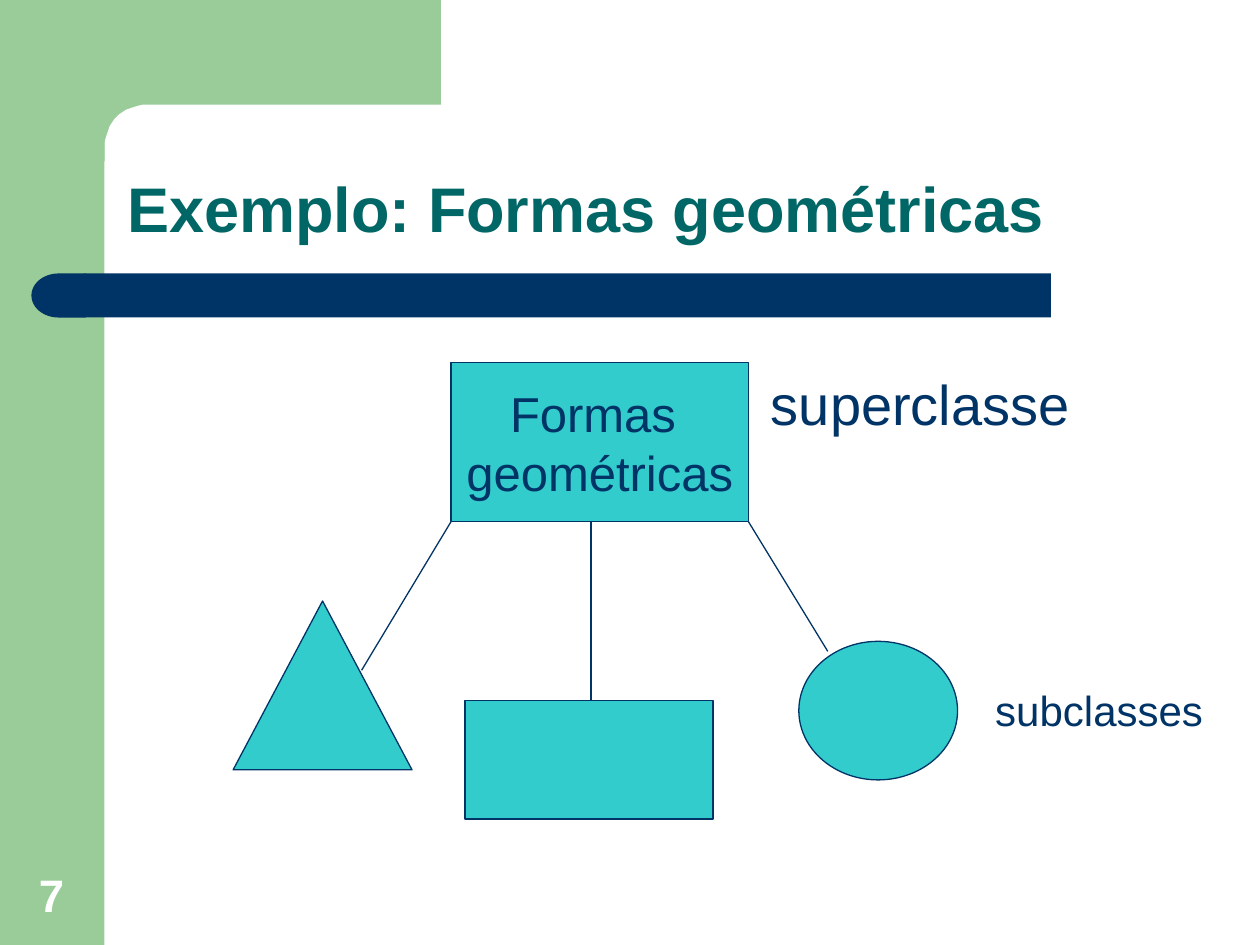
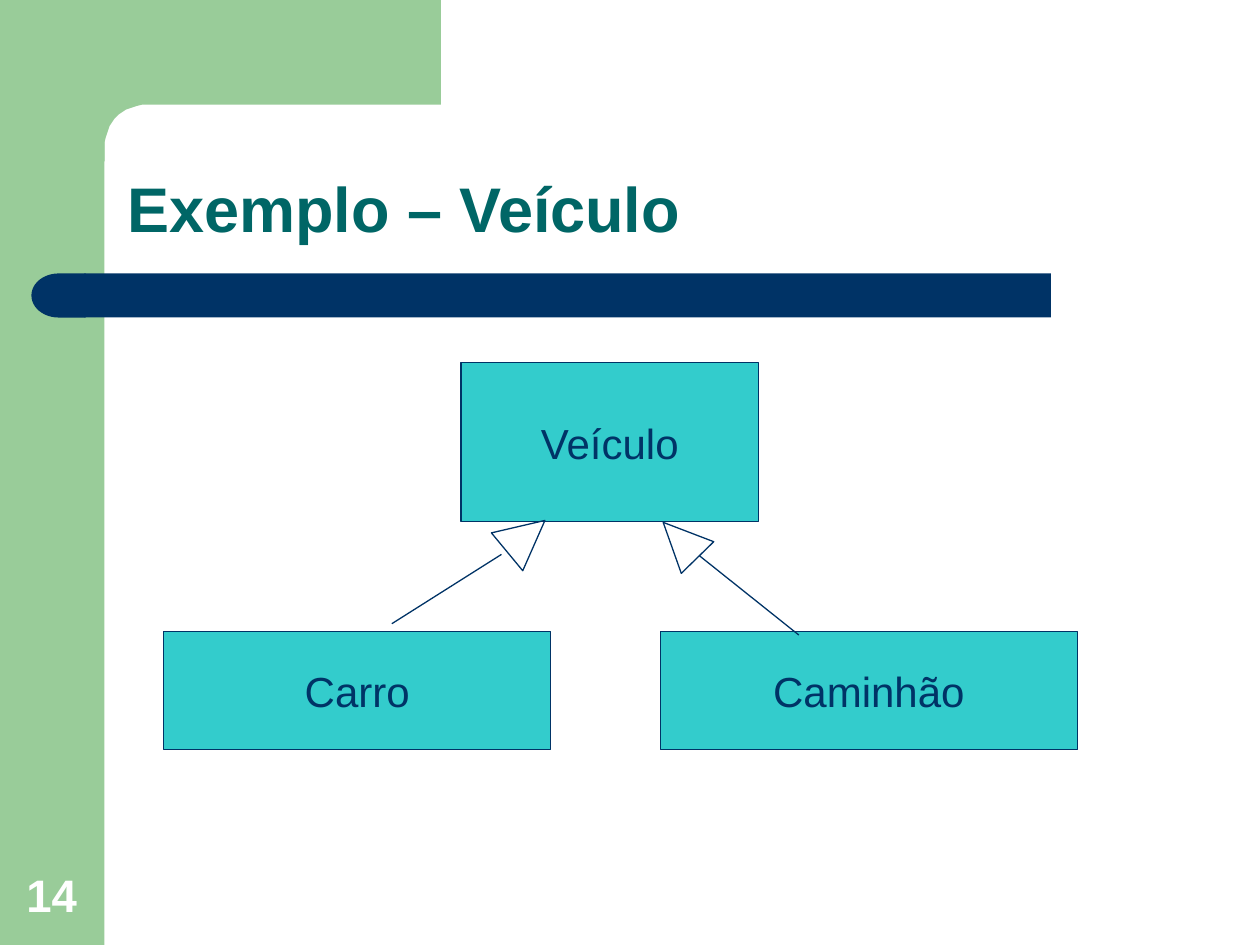
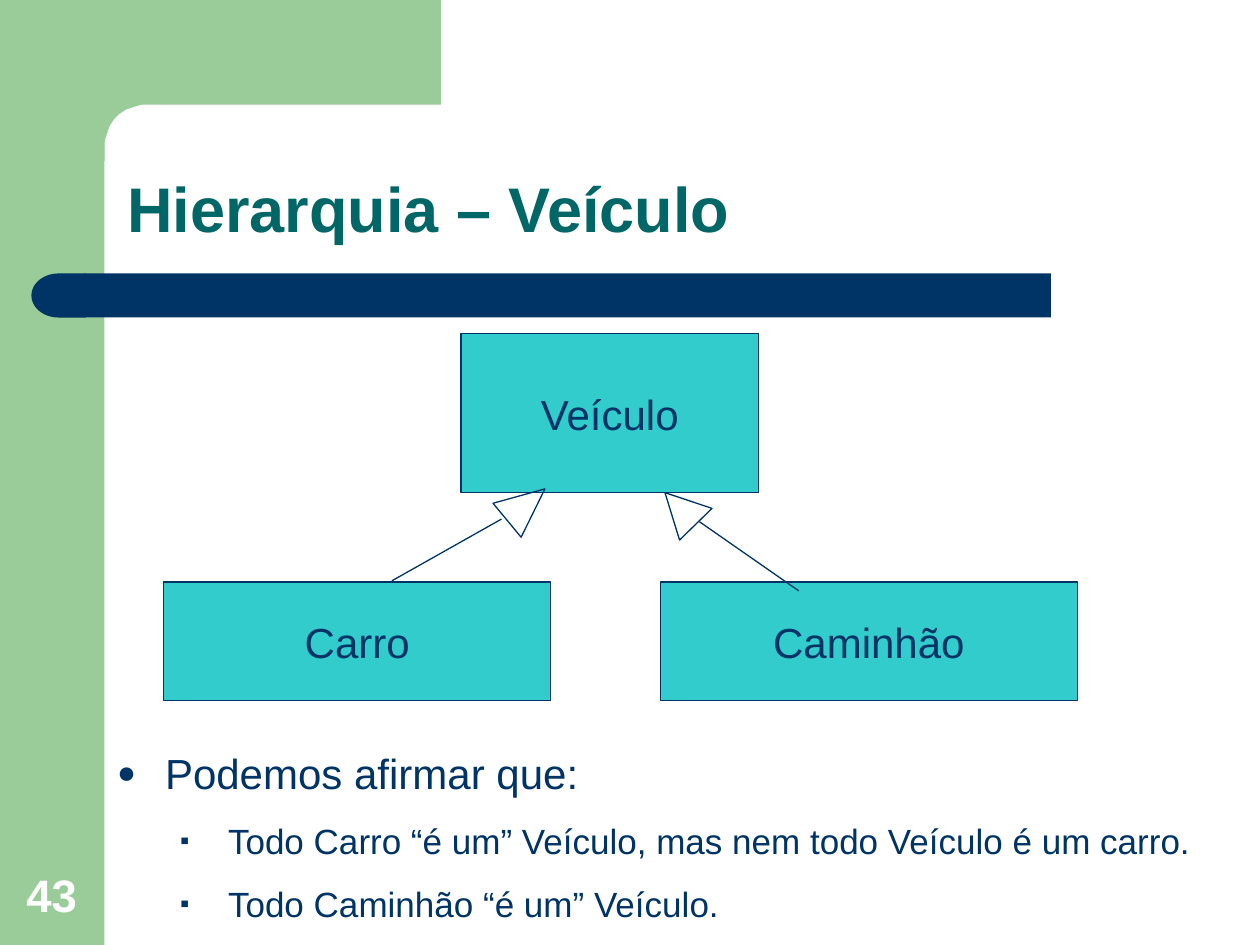
from math import cos, sin, radians

from lxml.etree import SubElement
from pptx import Presentation
from pptx.dml.color import RGBColor as RGB
from pptx.enum.shapes import MSO_CONNECTOR as LINK, MSO_SHAPE as KIND
from pptx.enum.text import MSO_ANCHOR as ANCHOR, MSO_AUTO_SIZE as FIT, PP_ALIGN as ALIGN
from pptx.oxml.ns import qn
from pptx.util import Inches, Pt

HUES = {"band": "99CC99", "navy": "003366", "title": "006666", "node": "33CCCC", "white": "FFFFFF"}
TITLE = {"size": 36, "hue": "title", "bold": True, "space": 0.9}
PAGE = {"size": 26, "hue": "white", "bold": True, "align": ALIGN.CENTER}


def paint(shape, fill=None, edge=None):
    shape.shadow.inherit = False
    if fill:
        shape.fill.solid()
        shape.fill.fore_color.rgb = RGB.from_string(HUES[fill])
    else:
        shape.fill.background()
    if edge:
        shape.line.color.rgb = RGB.from_string(HUES[edge])
        shape.line.width = Pt(0.75)
    else:
        shape.line.fill.background()


def write(frame, text, size, hue="navy", bold=False, align=ALIGN.LEFT, space=None,
          anchor=ANCHOR.TOP, wrap=True, fit=FIT.NONE):
    frame.text = text
    for name, value in {"vertical_anchor": anchor, "word_wrap": wrap, "auto_size": fit}.items():
        setattr(frame, name, value)
    for para in frame.paragraphs:
        para.alignment, para.line_spacing = align, space
        for name, value in {"name": "Arial", "size": Pt(size), "bold": bold}.items():
            setattr(para.font, name, value)
        para.font.color.rgb = RGB.from_string(HUES[hue])


# Slide contents: nodes (kind, box, text, size), links (ends), tips (box, turn), labels
PAGES = [
    {
        "page": "7", "title": "Exemplo: Formas geométricas",
        "nodes": [
            (KIND.RECTANGLE, (3.58, 2.88, 2.36, 1.26), "Formas \ngeométricas", 28),
            (KIND.ISOSCELES_TRIANGLE, (1.85, 4.77, 1.42, 1.34), "", 24),
            (KIND.RECTANGLE, (3.69, 5.56, 1.97, 0.94), "", 24),
            (KIND.OVAL, (6.34, 5.09, 1.26, 1.1), "", 24),
        ],
        "links": [(3.58, 4.14, 2.87, 5.32), (4.69, 4.14, 4.69, 5.56), (5.94, 4.14, 6.57, 5.17)],
        "labels": [((6.02, 2.88, 2.6, 0.64), "superclasse", 32),
                   ((7.8, 5.38, 1.85, 0.5), "subclasses", 24)],
    },
    {
        "page": "14", "title": "Exemplo – Veículo", "top": 2.88, "low": 5.01,
        "links": [(3.98, 4.4, 3.11, 4.95), (5.55, 4.41, 6.34, 5.04)],
        "tips": [((3.98, 4.06, 0.39, 0.39), 50.4), ((5.22, 4.09, 0.36, 0.39), 315.7)],
    },
    {
        "page": "43", "title": "Hierarquia – Veículo", "top": 2.65, "low": 4.62,
        "links": [(3.98, 4.12, 3.11, 4.61), (5.55, 4.14, 6.34, 4.69)],
        "tips": [((4, 3.81, 0.35, 0.39), 50.4), ((5.22, 3.86, 0.36, 0.35), 315.7)],
        "list": ["Podemos afirmar que:",
                 "Todo Carro “é um” Veículo, mas nem todo Veículo é um carro.",
                 "Todo Caminhão “é um” Veículo."],
    },
]

deck = Presentation()
deck.slide_width, deck.slide_height = Inches(10), Inches(7.5)

for data in PAGES:
    has_list = "list" in data
    slide = deck.slides.add_slide(deck.slide_layouts[1 if has_list else 5])
    shapes = slide.shapes

    # Bands, drawn once and moved to the master; corner points in hundredths of an inch
    if data is PAGES[0]:
        side = shapes.add_shape(KIND.RECTANGLE, 0, 0, Inches(0.83), Inches(7.5))
        arc = [(116 - 33 * sin(radians(a)), 116 - 33 * cos(radians(a))) for a in range(0, 91, 6)]
        pen = shapes.build_freeform(350, 0, scale=Inches(0.01))
        pen.add_line_segments([(350, 83), *arc, (83, 128), (50, 128), (50, 0)])
        corner = pen.convert_to_shape()
        bar = shapes.add_shape(KIND.RECTANGLE, *map(Inches, (0.67, 2.17, 7.67, 0.35)))
        cap = shapes.add_shape(KIND.FLOWCHART_DELAY, *map(Inches, (0.25, 2.17, 0.43, 0.35)))
        cap.element.spPr.find(qn("a:xfrm")).set("flipH", "1")
        for band, hue in ((side, "band"), (corner, "band"), (bar, "navy"), (cap, "navy")):
            paint(band, hue)
            deck.slide_master.shapes.element.append(band.element)

    # Page number and title
    num = shapes.add_textbox(*map(Inches, (0.09, 6.83, 0.64, 0.53)))
    write(num.text_frame, data["page"], anchor=ANCHOR.BOTTOM, **PAGE)
    head = shapes.title
    head.left, head.top, head.width, head.height = map(Inches, (0.91, 0.91, 8.51, 1.09))
    write(head.text_frame, data["title"], anchor=ANCHOR.BOTTOM, **TITLE)

    # Class nodes
    nodes = data.get("nodes") or [
        (KIND.RECTANGLE, (3.66, data["top"], 2.36, 1.26), "Veículo", 24),
        (KIND.RECTANGLE, (1.3, data["low"], 3.07, 0.94), "Carro", 24),
        (KIND.RECTANGLE, (5.24, data["low"], 3.31, 0.94), "Caminhão", 24),
    ]
    for kind, box, text, size in nodes:
        node = shapes.add_shape(kind, *map(Inches, box))
        paint(node, "node", "navy")
        if text:
            write(node.text_frame, text, size, align=ALIGN.CENTER, anchor=ANCHOR.MIDDLE, wrap=False)

    # Links and hollow arrow tips
    for ends in data["links"]:
        link = shapes.add_connector(LINK.STRAIGHT, *map(Inches, ends))
        link.line.color.rgb = RGB.from_string(HUES["navy"])
        link.line.width = Pt(0.75)
        SubElement(link.element.spPr, qn("a:effectLst"))
    for box, turn in data.get("tips", []):
        tip = shapes.add_shape(KIND.ISOSCELES_TRIANGLE, *map(Inches, box))
        tip.rotation = turn
        paint(tip, edge="navy")

    # Labels
    for box, text, size in data.get("labels", []):
        label = shapes.add_textbox(*map(Inches, box))
        write(label.text_frame, text, size, wrap=False, fit=FIT.SHAPE_TO_FIT_TEXT)

    # Bulleted list
    if has_list:
        body = slide.placeholders[1]
        body.left, body.top, body.width, body.height = map(Inches, (0.83, 5.8, 8.98, 1.7))
        body.text_frame.text = "\n".join(data["list"])
        for i, para in enumerate(body.text_frame.paragraphs):
            para.level = min(i, 1)
            para.space_before = Pt(7.5 if i else 0)
            props = para._p.get_or_add_pPr()
            props.set("marL", str(Inches(0.88 if i else 0.38)))
            props.set("indent", str(Inches(-0.38)))
            tone = SubElement(props, qn("a:buClr"))
            SubElement(tone, qn("a:srgbClr"), val=HUES["navy"])
            SubElement(props, qn("a:buSzPct"), val="75000")
            SubElement(props, qn("a:buFont"), typeface="Arial")
            SubElement(props, qn("a:buChar"), char="▪" if i else "●")
            para.line_spacing = 1.2
            look = {"name": "Arial", "size": Pt(20 if i else 24), "bold": False}
            for name, value in look.items():
                setattr(para.font, name, value)
            para.font.color.rgb = RGB.from_string(HUES["navy"])

deck.save("out.pptx")
